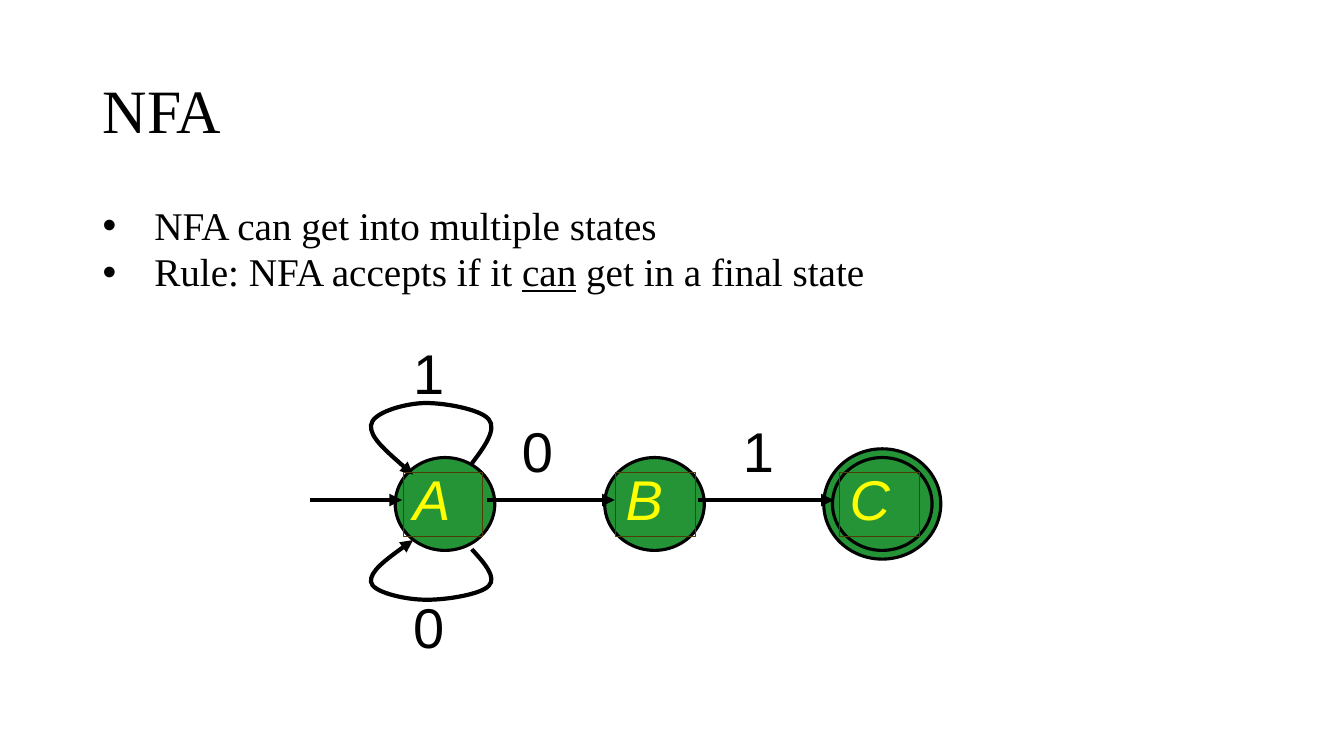
from pptx import Presentation
from pptx.dml.color import RGBColor
from pptx.enum.shapes import MSO_CONNECTOR as Link, MSO_SHAPE as Shape
from pptx.enum.text import MSO_ANCHOR as Anchor
from pptx.oxml.ns import qn
from pptx.util import Cm, Pt
from lxml.etree import SubElement

# Content
TITLE = "NFA"
# Each point is a list of (text, underlined)
POINTS = [
    [("NFA can get into multiple states", False)],
    [("Rule: NFA accepts if it ", False), ("can", True),
     (" get in a final state", False)],
]
# Name, circle left, letter box left, final (cm)
STATES = [("A", 9.96, 10.16, False),
          ("B", 15.24, 15.52, False),
          ("C", 20.98, 21.16, True)]
ARROWS = [(7.82, 10.13), (12.27, 15.49), (17.58, 21.01)]
LABELS = [("1", 10.16, 8.74), ("0", 12.9, 10.69),
          ("1", 18.47, 10.69), ("0", 10.16, 15.14)]
# Both loops share their x values; start point, then Bezier triples
LOOP_X = [11.89, 12.22, 12.52, 12.32, 12.12, 11.13, 10.62,
          10.13, 9.37, 9.35, 9.32, 9.86, 10.41]
LOOP_YS = [
    [11.68, 11.25, 10.82, 10.57, 10.31, 10.13, 10.16,
     10.19, 10.41, 10.72, 11.02, 11.48, 11.96],
    [13.84, 14.2, 14.55, 14.76, 14.99, 15.14, 15.11,
     15.09, 14.91, 14.66, 14.4, 14, 13.61],
]
NODE_W, NODE_H, NODE_Y = 2.51, 2.34, 11.53
RIM = 0.22
BOX_W, BOX_H, BOX_Y = 2.01, 1.6, 11.91
ARROW_Y = 12.6
BLACK, GREEN, YELLOW, BROWN = "000000", "249437", "FFFF00", "503C04"

deck = Presentation()
deck.slide_width, deck.slide_height = Cm(33.87), Cm(19.05)
slide = deck.slides.add_slide(deck.slide_layouts[6])
shapes = slide.shapes


def color(fmt, code):
    fmt.rgb = RGBColor.from_string(code)


def stroke(line, code, width):
    line.fill.solid()
    color(line.color, code)
    line.width = Pt(width)


def style(para, face, size, code, gap):
    para.font.name, para.font.size = face, Pt(size)
    color(para.font.color, code)
    para.line_spacing = gap


def add_box(x, y, w, h):
    box = shapes.add_textbox(Cm(x), Cm(y), Cm(w), Cm(h))
    box.text_frame.word_wrap = True
    return box


def add_mark(text, x, y, code):
    box = add_box(x, y, BOX_W, BOX_H)
    para = box.text_frame.paragraphs[0]
    para.text = text
    style(para, "Arial", 40, code, 0.8)
    return box


def add_ring(home, x, grow=0):
    ring = home.add_shape(Shape.OVAL, Cm(x - grow), Cm(NODE_Y - grow),
                          Cm(NODE_W + 2 * grow), Cm(NODE_H + 2 * grow))
    ring.shadow.inherit = False
    ring.fill.solid()
    color(ring.fill.fore_color, GREEN)
    stroke(ring.line, BLACK, 2.25)


def add_head(item):
    stroke(item.line, BLACK, 3)
    SubElement(item.line._get_or_add_ln(), qn("a:tailEnd"), type="triangle")


# Title and points
frame = add_box(2.34, 1.02, 31.5, 3.68).text_frame
frame.vertical_anchor = Anchor.MIDDLE
frame.text = TITLE
style(frame.paragraphs[0], "Times New Roman", 44, BLACK, 0.9)

frame = add_box(2.34, 5.08, 31.5, 12.09).text_frame
for i, point in enumerate(POINTS):
    para = frame.add_paragraph() if i else frame.paragraphs[0]
    props = para._p.get_or_add_pPr()
    props.set("marL", str(Cm(1.3)))
    props.set("indent", str(-Cm(1.3)))
    SubElement(props, qn("a:buFont"), typeface="Arial")
    SubElement(props, qn("a:buChar"), char="•")
    style(para, "Times New Roman", 28, BLACK, 0.9)
    if i:
        para.space_before = Pt(3)
    for text, under in point:
        run = para.add_run()
        run.text = text
        if under:
            run.font.underline = True

# State circles; a final state has a second rim
for name, x, left, final in STATES:
    home = shapes.add_group_shape().shapes if final else shapes
    if final:
        add_ring(home, x, RIM)
    add_ring(home, x)

# Straight arrows
for start, end in ARROWS:
    arrow = shapes.add_connector(Link.STRAIGHT, Cm(start), Cm(ARROW_Y),
                                 Cm(end), Cm(ARROW_Y))
    add_head(arrow)
    SubElement(arrow._element.spPr, qn("a:effectLst"))

# Loops: every three points become one Bezier segment
for ys in LOOP_YS:
    first, *rest = [(Cm(x), Cm(y)) for x, y in zip(LOOP_X, ys)]
    pen = shapes.build_freeform(*first)
    pen.add_line_segments(rest, close=False)
    loop = pen.convert_to_shape()
    loop.shadow.inherit = False
    loop.fill.background()
    add_head(loop)
    curve = loop._element.spPr.find(".//" + qn("a:path"))
    steps = curve.findall(qn("a:lnTo"))
    for i in range(0, len(steps), 3):
        bend = SubElement(curve, qn("a:cubicBezTo"))
        for step in steps[i:i + 3]:
            bend.append(step[0])
            curve.remove(step)

# State letters and arrow labels
for name, x, left, final in STATES:
    box = add_mark(name, left, BOX_Y, YELLOW)
    box.text_frame.paragraphs[0].font.italic = True
    stroke(box.line, BROWN, 0.75)
for text, x, y in LABELS:
    add_mark(text, x, y, BLACK)

deck.save("out.pptx")
